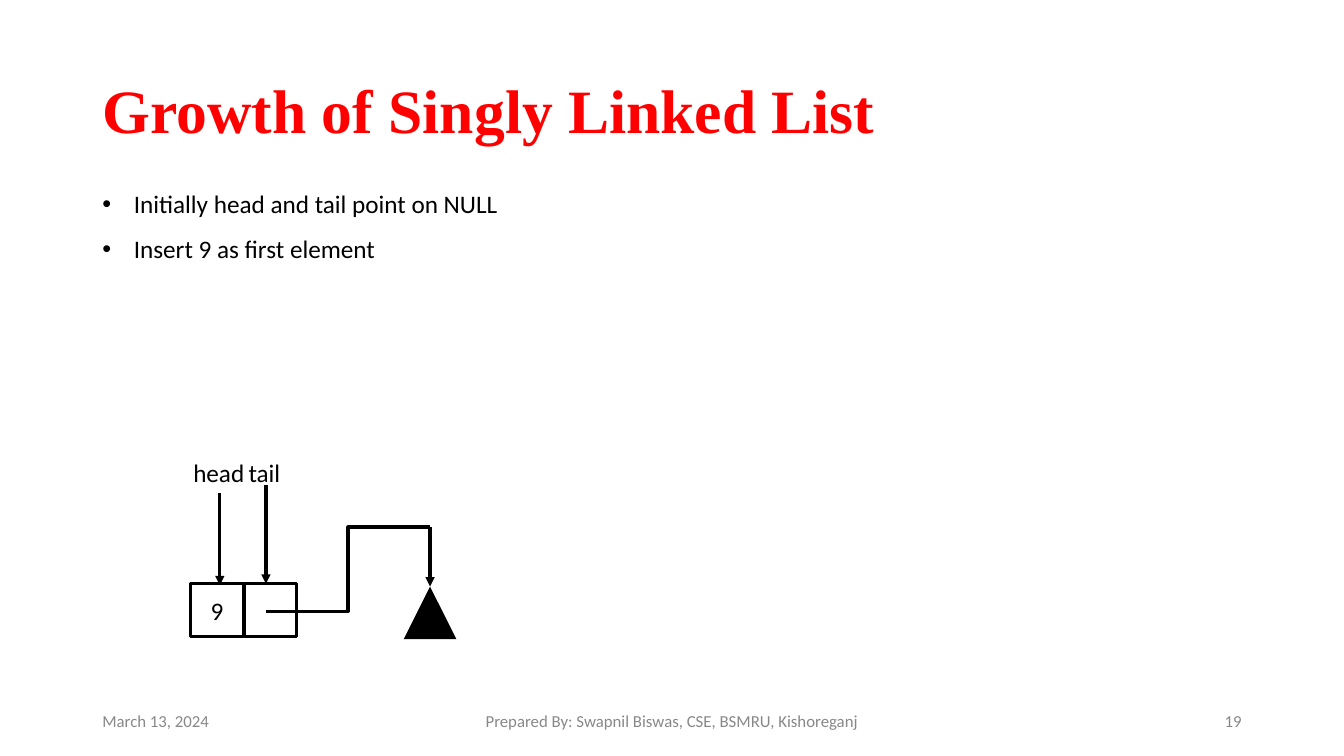
from dataclasses import dataclass

from lxml import etree
from pptx import Presentation
from pptx.dml.color import RGBColor
from pptx.enum.shapes import MSO_CONNECTOR, MSO_SHAPE
from pptx.enum.text import MSO_ANCHOR, PP_ALIGN
from pptx.oxml.ns import qn
from pptx.util import Pt

LEFT, CENTER, RIGHT = PP_ALIGN.LEFT, PP_ALIGN.CENTER, PP_ALIGN.RIGHT
TOP, MIDDLE = MSO_ANCHOR.TOP, MSO_ANCHOR.MIDDLE
STRAIGHT, ELBOW = MSO_CONNECTOR.STRAIGHT, MSO_CONNECTOR.ELBOW
SQUARE, TRIANGLE = MSO_SHAPE.RECTANGLE, MSO_SHAPE.ISOSCELES_TRIANGLE

# Content
TITLE = "Growth of Singly Linked List"
STEPS = ["Initially head and tail point on NULL", "Insert 9 as first element"]
NODE_FIELDS = ["9", ""]  # value, link
# label, centre x, label width, arrow start y, arrow end y
POINTERS = [("head", 157, 52, 352, 418), ("tail", 190, 39, 346.5, 417)]
# text, left, width, alignment
FOOTER = [
    ("March 13, 2024", 66, 216, LEFT),
    ("Prepared By: Swapnil Biswas, CSE, BSMRU, Kishoreganj", 318, 324, CENTER),
    ("19", 678, 216, RIGHT),
]


@dataclass(frozen=True)
class Theme:
    heading_font: str = "Times New Roman"
    body_font: str = "Calibri"
    red: RGBColor = RGBColor(255, 0, 0)
    black: RGBColor = RGBColor(0, 0, 0)
    grey: RGBColor = RGBColor(0x88, 0x88, 0x88)
    title_size: float = 44
    body_size: float = 18
    footer_size: float = 12
    box_line: float = 2
    arrow_line: float = 2.25


THEME = Theme()

# Diagram geometry
CELL = 37.6
CELL_PITCH = 38.2
NODE_LEFT, NODE_TOP = 136.2, 417
LINK_START = (190, 436.5)
NULL_X, BEND_Y, NULL_TOP = 307.2, 376.5, 419

prs = Presentation()
prs.slide_width, prs.slide_height = Pt(960), Pt(540)
slide = prs.slides.add_slide(prs.slide_layouts[5])
shapes = slide.shapes


def place(shape, left, top, width, height):
    shape.left, shape.top = Pt(left), Pt(top)
    shape.width, shape.height = Pt(width), Pt(height)


def write(shape, *lines, font=THEME.body_font, size=THEME.body_size, color=THEME.black,
          bold=False, align=LEFT, anchor=TOP, wrap=False, bullet=False, gap=0, spacing=None):
    frame = shape.text_frame
    frame.word_wrap = wrap
    frame.vertical_anchor = anchor
    frame.margin_left = frame.margin_right = Pt(7.2)
    frame.margin_top = frame.margin_bottom = Pt(3.6)
    for i, line in enumerate(lines):
        paragraph = frame.add_paragraph() if i else frame.paragraphs[0]
        paragraph.text = line
        paragraph.alignment = align
        paragraph.space_before = Pt(gap if i else 0)
        if spacing:
            paragraph.line_spacing = spacing
        if bullet:
            props = paragraph._p.get_or_add_pPr()
            props.set("marL", str(Pt(22.5)))
            props.set("indent", str(-Pt(22.5)))
            etree.SubElement(props, qn("a:buFont"), typeface="Arial")
            etree.SubElement(props, qn("a:buChar"), char="•")
        paragraph.font.name = font
        paragraph.font.size = Pt(size)
        paragraph.font.bold = bold
        paragraph.font.color.rgb = color


def text_box(left, top, width, height, *lines, **text_format):
    box = shapes.add_textbox(Pt(left), Pt(top), Pt(width), Pt(height))
    write(box, *lines, **text_format)


def connect(kind, start, end, arrow=False):
    link = shapes.add_connector(kind, *map(Pt, start + end))
    link.line.color.rgb = THEME.black
    link.line.width = Pt(THEME.arrow_line)
    if arrow:
        etree.SubElement(link.line._get_or_add_ln(), qn("a:tailEnd"), type="triangle")
    etree.SubElement(link._element.spPr, qn("a:effectLst"))


# Title
title = shapes.title
place(title, 66, 28.8, 828, 104.4)
write(title, TITLE, font=THEME.heading_font, size=THEME.title_size, color=THEME.red,
      bold=True, anchor=MIDDLE, wrap=True, spacing=0.9)

# Steps
text_box(66, 131, 328, 62, *STEPS, bullet=True, gap=10.8)

# Head and tail pointers
for label, x, width, start_y, end_y in POINTERS:
    text_box(x - width / 2, 323.3, width, 29, label)
    connect(STRAIGHT, (x, start_y), (x, end_y), arrow=True)

# Node with its value and link fields
for i, value in enumerate(NODE_FIELDS):
    left = NODE_LEFT + i * CELL_PITCH
    field = shapes.add_shape(SQUARE, Pt(left), Pt(NODE_TOP), Pt(CELL), Pt(CELL))
    field.shadow.inherit = False
    field.fill.background()
    field.line.color.rgb = THEME.black
    field.line.width = Pt(THEME.box_line)
    if value:
        write(field, value, align=CENTER, anchor=MIDDLE)

# Link from the node to NULL
connect(ELBOW, LINK_START, (NULL_X, BEND_Y))
connect(STRAIGHT, (NULL_X, BEND_Y), (NULL_X, NULL_TOP), arrow=True)
null_mark = shapes.add_shape(TRIANGLE, Pt(NULL_X - CELL / 2), Pt(NULL_TOP), Pt(CELL), Pt(CELL))
null_mark.shadow.inherit = False
null_mark.fill.solid()
null_mark.fill.fore_color.rgb = THEME.black
null_mark.line.fill.background()

# Footer
for text, left, width, align in FOOTER:
    text_box(left, 500.5, width, 28.8, text, size=THEME.footer_size, color=THEME.grey,
             align=align, anchor=MIDDLE, wrap=True)

prs.save("out.pptx")
